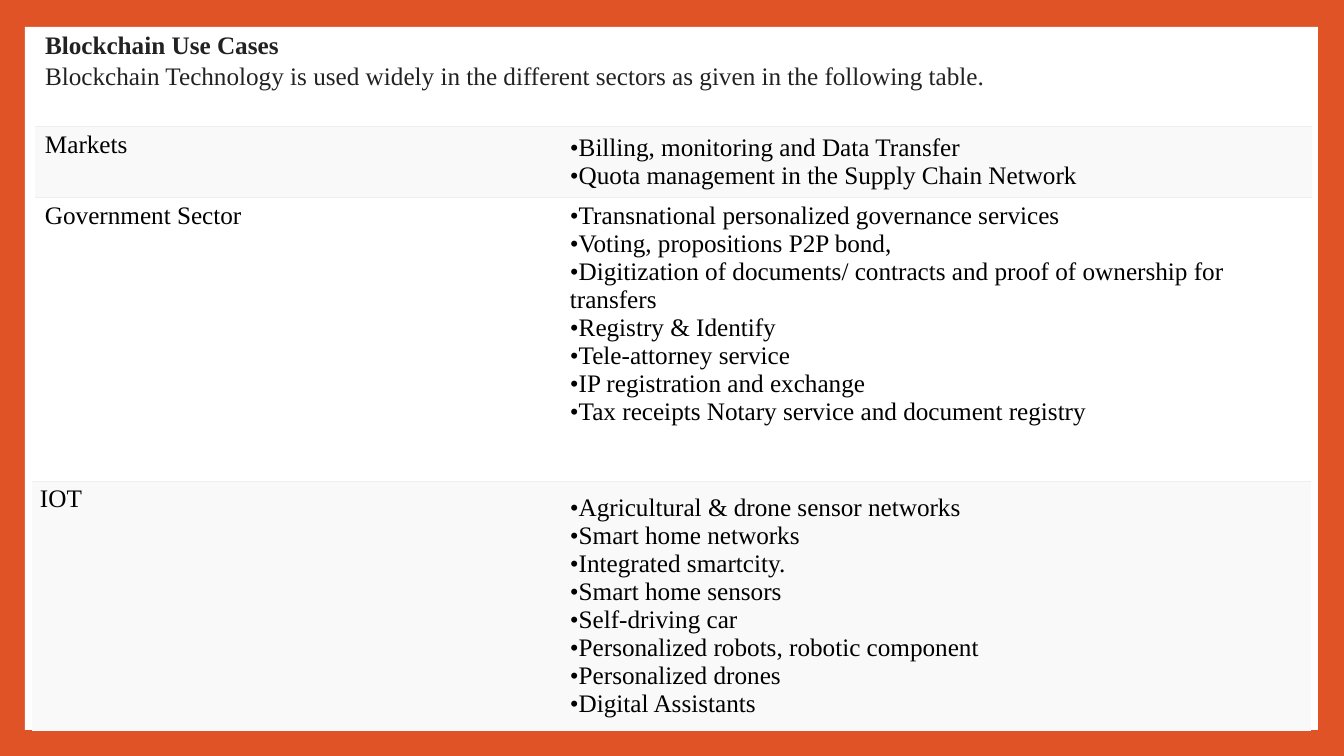
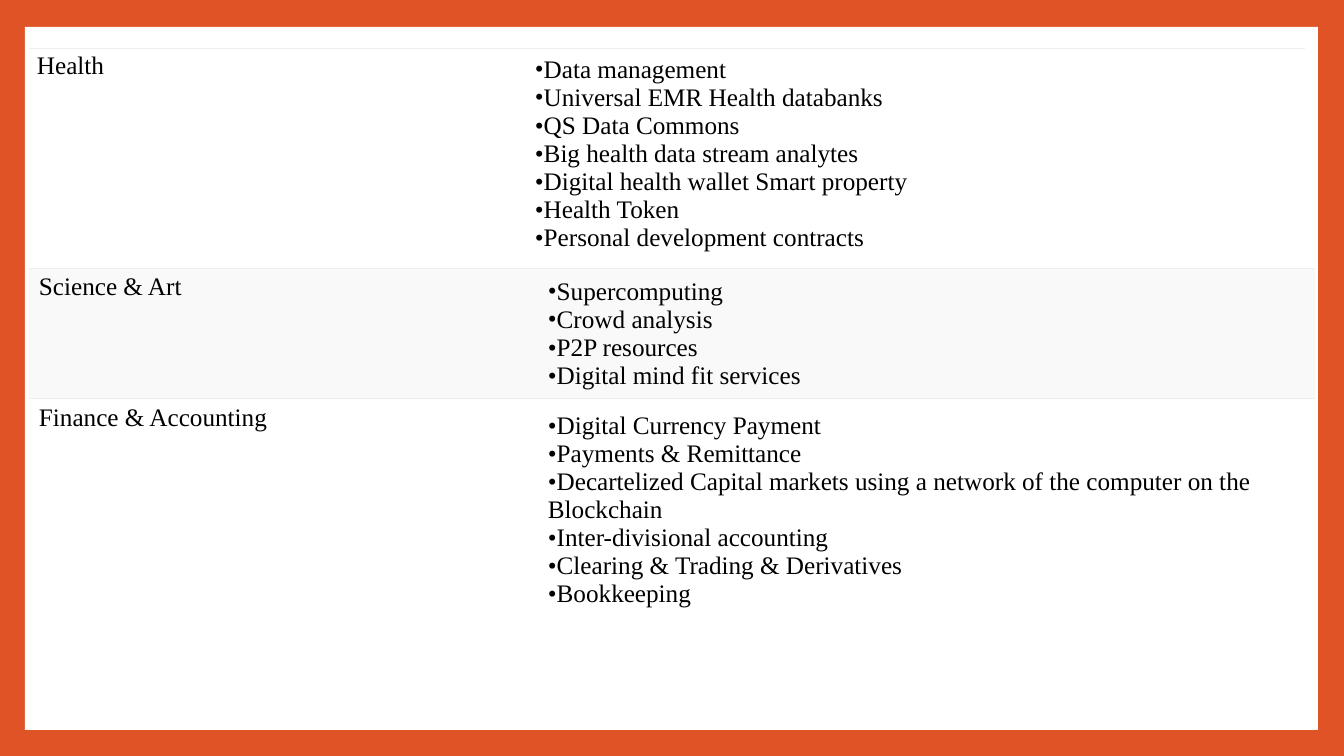
from pptx import Presentation
from pptx import util as u
from pptx.dml.color import RGBColor
from pptx.enum import shapes, text
from pptx.oxml import parse_xml
from pptx.oxml.ns import nsdecls


class Theme:
    back = RGBColor.from_string("DF5327")
    white = RGBColor.from_string("FFFFFF")
    gray = RGBColor.from_string("F9F9F9")
    dark = RGBColor.from_string("222222")
    black = RGBColor.from_string("000000")
    rule = "EEEEEE"
    font = "Times New Roman"
    size = u.Pt(18)
    pitch = u.Pt(20)


WIDE, HIGH = 1344, 756
SCALE = 12192000 / WIDE


def px(n):
    return u.Emu(round(n * SCALE))


def style(para, color, bold=False):
    for run in para.runs:
        font = run.font
        font.name, font.size, font.bold = Theme.font, Theme.size, bold
        font.color.rgb = color


# Content: one entry per slide, then per table.
# Table: left, top, column widths, side inset, rows
# Row: height, fill, anchor of the list, label, list items
MID, TOP = text.MSO_ANCHOR.MIDDLE, text.MSO_ANCHOR.TOP
HEAD = [
    ("Blockchain Use Cases", 29, True),
    ("Blockchain Technology is used widely in the different sectors "
     "as given in the following table.", 60, False),
]
PAGES = [
    (HEAD, [
        (35, 126, (525, 752), 10, [
            (71, Theme.gray, MID, "Markets", [
                "Billing, monitoring and Data Transfer",
                "Quota management in the Supply Chain Network"]),
            (284, Theme.white, TOP, "Government Sector", [
                "Transnational personalized governance services",
                "Voting, propositions P2P bond,",
                "Digitization of documents/ contracts and proof of "
                "ownership for transfers",
                "Registry & Identify",
                "Tele-attorney service",
                "IP registration and exchange",
                "Tax receipts Notary service and document registry"]),
        ]),
        (32, 481, (530, 749), 8, [
            (250, Theme.gray, MID, "IOT", [
                "Agricultural & drone sensor networks",
                "Smart home networks",
                "Integrated smartcity.",
                "Smart home sensors",
                "Self-driving car",
                "Personalized robots, robotic component",
                "Personalized drones",
                "Digital Assistants"]),
        ]),
    ]),
    ([], [
        (29, 48, (498, 778), 8, [
            (211, Theme.white, MID, "Health", [
                "Data management",
                "Universal EMR Health databanks",
                "QS Data Commons",
                "Big health data stream analytes",
                "Digital health wallet Smart property",
                "Health Token",
                "Personal development contracts"]),
        ]),
        (29, 268, (509, 777), 10, [
            (131, Theme.gray, MID, "Science & Art", [
                "Supercomputing",
                "Crowd analysis",
                "P2P resources",
                "Digital mind fit services"]),
            (222, Theme.white, MID, "Finance & Accounting", [
                "Digital Currency Payment",
                "Payments & Remittance",
                "Decartelized Capital markets using a network of the "
                "computer on the Blockchain",
                "Inter-divisional accounting",
                "Clearing & Trading & Derivatives",
                "Bookkeeping"]),
        ]),
    ]),
]

deck = Presentation()
deck.slide_width, deck.slide_height = px(WIDE), px(HIGH)
master = deck.slide_master
back = master.background.fill
back.solid()
back.fore_color.rgb = Theme.back

for page, (head, tables) in enumerate(PAGES):
    slide = deck.slides.add_slide(deck.slide_layouts[1 if head else 6])

    # White panel, kept on the master behind everything
    if page == 0:
        panel = slide.shapes.add_shape(
            shapes.MSO_SHAPE.RECTANGLE, px(25), px(27), px(1293), px(703))
        panel.shadow.inherit = False
        panel.fill.solid()
        panel.fill.fore_color.rgb = Theme.white
        panel.line.fill.background()
        panel.element.xpath(".//p:cNvPr")[0].set("id", "20")
        master.shapes.element.insert(2, panel.element)

    # Title and lead line
    for holder, (words, top, bold) in zip(slide.placeholders, head):
        holder.left, holder.top = px(35), px(top)
        holder.width, holder.height = px(1277), px(30)
        frame = holder.text_frame
        frame.text = words
        frame.word_wrap = True
        frame.auto_size = text.MSO_AUTO_SIZE.NONE
        frame.vertical_anchor = MID
        frame.margin_left = frame.margin_right = px(10)
        frame.margin_top = frame.margin_bottom = 0
        para = frame.paragraphs[0]
        props = para._p.get_or_add_pPr()
        props.set("marL", "0")
        props.set("indent", "0")
        props.append(parse_xml(f"<a:buNone {nsdecls('a')}/>"))
        para.alignment = text.PP_ALIGN.JUSTIFY
        para.space_before = u.Pt(0)
        style(para, Theme.dark, bold)

    # Tables
    for left, top, cols, inset, rows in tables:
        high = sum(row[0] for row in rows)
        grid = slide.shapes.add_table(
            len(rows), len(cols), px(left), px(top),
            px(sum(cols)), px(high)).table
        grid.first_row = grid.horz_banding = False
        for col, width in zip(grid.columns, cols):
            col.width = px(width)

        for line, (height, fill, anchor, label, items) in zip(grid.rows, rows):
            line.height = px(height)
            name, uses = line.cells
            name.text = label
            uses.text = "\n".join(items)
            name.vertical_anchor, uses.vertical_anchor = TOP, anchor

            # Fill, insets and the rule above each row
            for cell in (name, uses):
                cell.fill.solid()
                cell.fill.fore_color.rgb = fill
                cell.margin_left = cell.margin_right = px(inset)
                cell.margin_top = cell.margin_bottom = px(inset // 2)
                for spot, side in enumerate("LRTB"):
                    paint = "<a:noFill/>"
                    if side == "T":
                        paint = (f'<a:solidFill><a:srgbClr val="{Theme.rule}"/>'
                                 "</a:solidFill>")
                    cell._tc.get_or_add_tcPr().insert(spot, parse_xml(
                        f'<a:ln{side} {nsdecls("a")} w="{u.Pt(0.75)}">'
                        f"{paint}</a:ln{side}>"))

            # Bulleted list
            for para in uses.text_frame.paragraphs:
                props = para._p.get_or_add_pPr()
                props.set("marL", "0")
                props.set("indent", str(px(-12)))
                for mark in (
                        f'buClr {nsdecls("a")}><a:srgbClr '
                        f'val="{Theme.black}"/></a:buClr',
                        f'buFont {nsdecls("a")} typeface="{Theme.font}"/',
                        f'buChar {nsdecls("a")} char="•"/'):
                    props.append(parse_xml(f"<a:{mark}>"))
                para.line_spacing = Theme.pitch
                style(para, Theme.black)
            style(name.text_frame.paragraphs[0], Theme.black)

deck.save("out.pptx")
